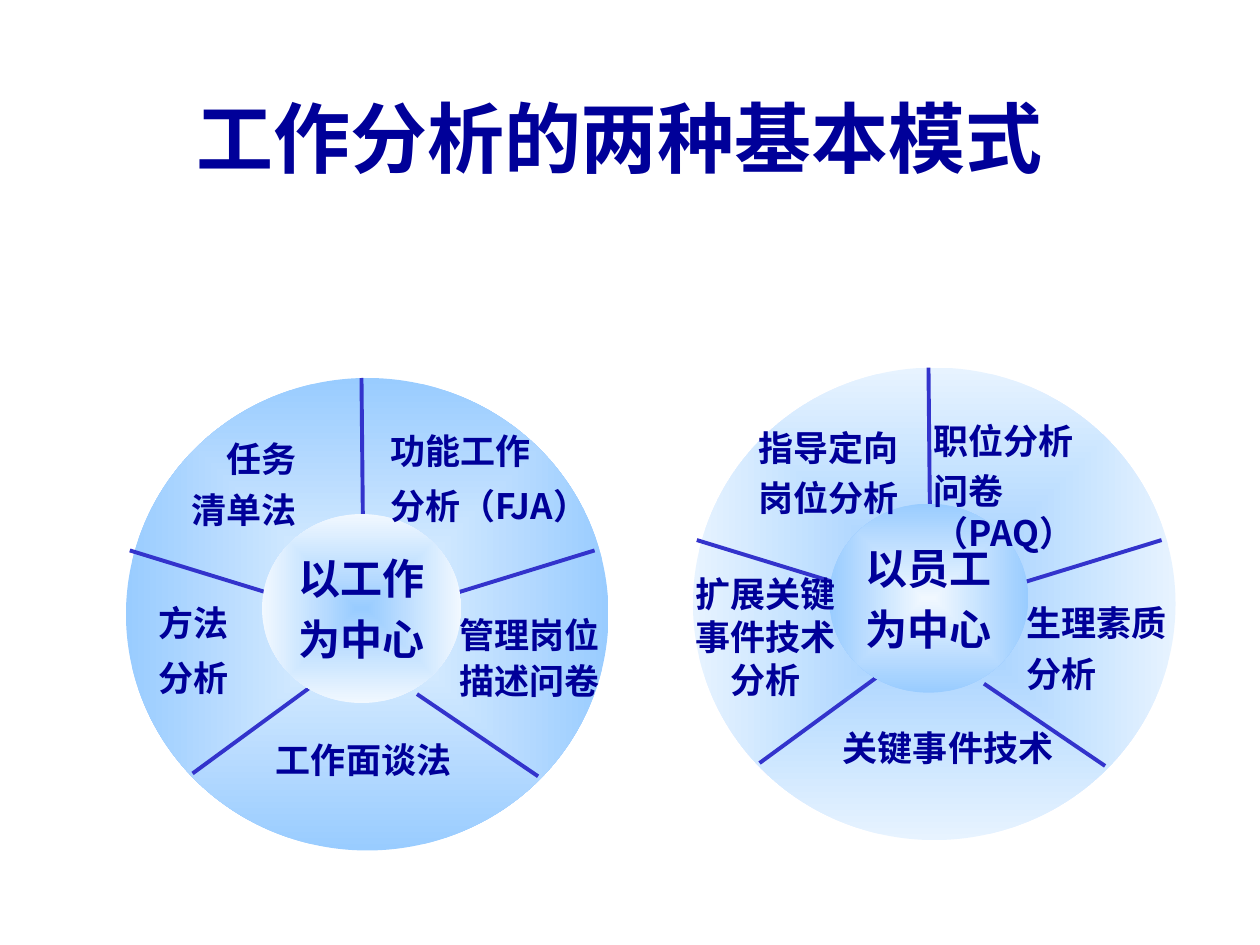
"""Build a slide with two wheels of job analysis methods."""
import pptx
import pptx.util
import pptx.oxml
import pptx.oxml.ns
import pptx.dml.color
import pptx.enum.text
import pptx.enum.shapes
import lxml.etree

SLIDE_WIDTH, SLIDE_HEIGHT = pptx.util.Inches(10), pptx.util.Inches(7.5)
FONT, INK, SPOKE = "Noto Sans CJK SC", "000099", "3333CC"
SKY, PALE, PALEST = "99CCFF", "E7F3FF", "F1F8FF"
LEFT, CENTER, RIGHT = (pptx.enum.text.PP_ALIGN.LEFT, pptx.enum.text.PP_ALIGN.CENTER,
                       pptx.enum.text.PP_ALIGN.RIGHT)

HUB_AREA = (28.2, 28.8, 41.3, 40)
SPOKES = [
    (68.1, 45.6, 97.1, 36.5),
    (60.3, 66.9, 85.4, 84.3),
    (13.8, 83.7, 38.4, 65.3),
    (48.8, 0, 49.1, 30.9),
    (29.8, 45.6, 0.8, 36.5),
]
JOB_LABELS = [
    ("功能工作\n分析（FJA）", (52.2, 11.2, 50.9, 21.6), LEFT, 0.8, 12.5),
    ("管理岗位\n描述问卷", (66.6, 47.7, 36, 22.4), LEFT, 1.1, 0),
    ("工作面谈法", (28.5, 74.9, 43, 11.7), LEFT, 1, 12.5),
    ("方法\n分析", (4.2, 47.7, 23, 21.6), LEFT, 0.8, 12.5),
    ("任务\n清单法", (6.9, 9.6, 31, 24), RIGHT, 1.2, 0),
]
STAFF_LABELS = [
    ("职位分析\n问卷（PAQ）", (47.3, 9.6, 48.3, 22.4), LEFT, 1, 5),
    ("生理素质\n分析", (66.6, 48.3, 36, 22.4), LEFT, 1, 5),
    ("关键事件技术", (28.5, 74.7, 50, 11.7), LEFT, 1, 5),
    ("扩展关键\n事件技术\n分析", (-3, 45.9, 36, 25.3), CENTER, 0.5, 12.5),
    ("指导定向\n岗位分析", (11, 9.3, 36, 24), LEFT, 1.2, 0),
]


def color(value):
    """Return the colour for a hex string."""
    return pptx.dml.color.RGBColor.from_string(value)


def point(box, across, down):
    """Return the position at the given percentages of a box."""
    left, top, width, height = box
    return round(left + width * across / 100), round(top + height * down / 100)


def share(box, area):
    """Return the part of a box that an area in percentages covers."""
    across, down, wide, high = area
    return (*point(box, across, down), round(box[2] * wide / 100), round(box[3] * high / 100))


def slide_box(*area):
    """Turn percentages of the slide into a box."""
    return share((0, 0, SLIDE_WIDTH, SLIDE_HEIGHT), area)


def write(frame, text, size, align, line_spacing=1, space_before=0):
    """Fill a text frame and format its paragraphs and runs."""
    frame.text = text
    for para in frame.paragraphs:
        para.alignment = align
        para.line_spacing = line_spacing
        para.space_before = pptx.util.Pt(space_before)
        for span in para.runs:
            span.font.size = pptx.util.Pt(size)
            span.font.bold = True
            span.font.color.rgb = color(INK)
            span.font.name = FONT
            latin = span.font._element.find(pptx.oxml.ns.qn("a:latin"))
            east_asian = lxml.etree.Element(pptx.oxml.ns.qn("a:ea"))
            east_asian.set("typeface", FONT)
            latin.addnext(east_asian)


def add_disc(shapes, box, inner, outer):
    """Add an ellipse shaded from its centre to its edge."""
    disc = shapes.add_shape(pptx.enum.shapes.MSO_SHAPE.OVAL, *box)
    disc.shadow.inherit = False
    disc.line.fill.background()
    disc.fill.gradient()
    for stop, value in zip(disc.fill.gradient_stops, (inner, outer)):
        stop.color.rgb = color(value)
    gradient = disc._element.spPr.find(pptx.oxml.ns.qn("a:gradFill"))
    gradient.remove(gradient.find(pptx.oxml.ns.qn("a:lin")))
    shade = lxml.etree.SubElement(gradient, pptx.oxml.ns.qn("a:path"), {"path": "rect"})
    sides = {side: "50000" for side in "ltrb"}
    lxml.etree.SubElement(shade, pptx.oxml.ns.qn("a:fillToRect"), sides)
    return disc


def add_spoke(shapes, box, ends):
    """Add one dividing line of a wheel."""
    spoke = shapes.add_connector(pptx.enum.shapes.MSO_CONNECTOR.STRAIGHT,
                                 *point(box, *ends[:2]), *point(box, *ends[2:]))
    spoke.line.color.rgb = color(SPOKE)
    spoke.line.width = pptx.util.Pt(2.25)
    lxml.etree.SubElement(spoke._element.spPr, pptx.oxml.ns.qn("a:effectLst"))


def add_label(shapes, box, label):
    """Add the text of one wheel sector."""
    text, area, align, line_spacing, space_before = label
    frame = shapes.add_textbox(*share(box, area)).text_frame
    frame.word_wrap = True
    frame.auto_size = pptx.enum.text.MSO_AUTO_SIZE.SHAPE_TO_FIT_TEXT
    write(frame, text, 20, align, line_spacing, space_before)


def add_wheel(page, box, center, labels, rim_colors, hub_colors):
    """Add a grouped wheel with spokes, hub and sector labels."""
    shapes = page.shapes.add_group_shape().shapes
    add_disc(shapes, box, *rim_colors)
    for ends in SPOKES:
        add_spoke(shapes, box, ends)
    hub = add_disc(shapes, share(box, HUB_AREA), *hub_colors).text_frame
    hub.word_wrap = False
    hub.vertical_anchor = pptx.enum.text.MSO_ANCHOR.MIDDLE
    write(hub, center, 24, CENTER, space_before=6)
    for label in labels:
        add_label(shapes, box, label)


def add_title(page, box, text):
    """Place and fill the title placeholder."""
    title = page.shapes.title
    title.left, title.top, title.width, title.height = box
    title.text_frame.vertical_anchor = pptx.enum.text.MSO_ANCHOR.TOP
    write(title.text_frame, text, 44, CENTER)


def main():
    """Build and save the deck."""
    deck = pptx.Presentation()
    deck.slide_width, deck.slide_height = SLIDE_WIDTH, SLIDE_HEIGHT
    page = deck.slides.add_slide(deck.slide_layouts[5])
    add_title(page, slide_box(6.7, 8.9, 85, 16.7), "工作分析的两种基本模式")
    add_wheel(page, slide_box(10, 40, 38.3, 50), "以工作\n为中心", JOB_LABELS,
              (PALE, SKY), (SKY, PALEST))
    add_wheel(page, slide_box(55, 38.9, 38.3, 50), "以员工\n为中心", STAFF_LABELS,
              (SKY, PALE), (PALEST, SKY))
    deck.save("out.pptx")


if __name__ == "__main__":
    main()
